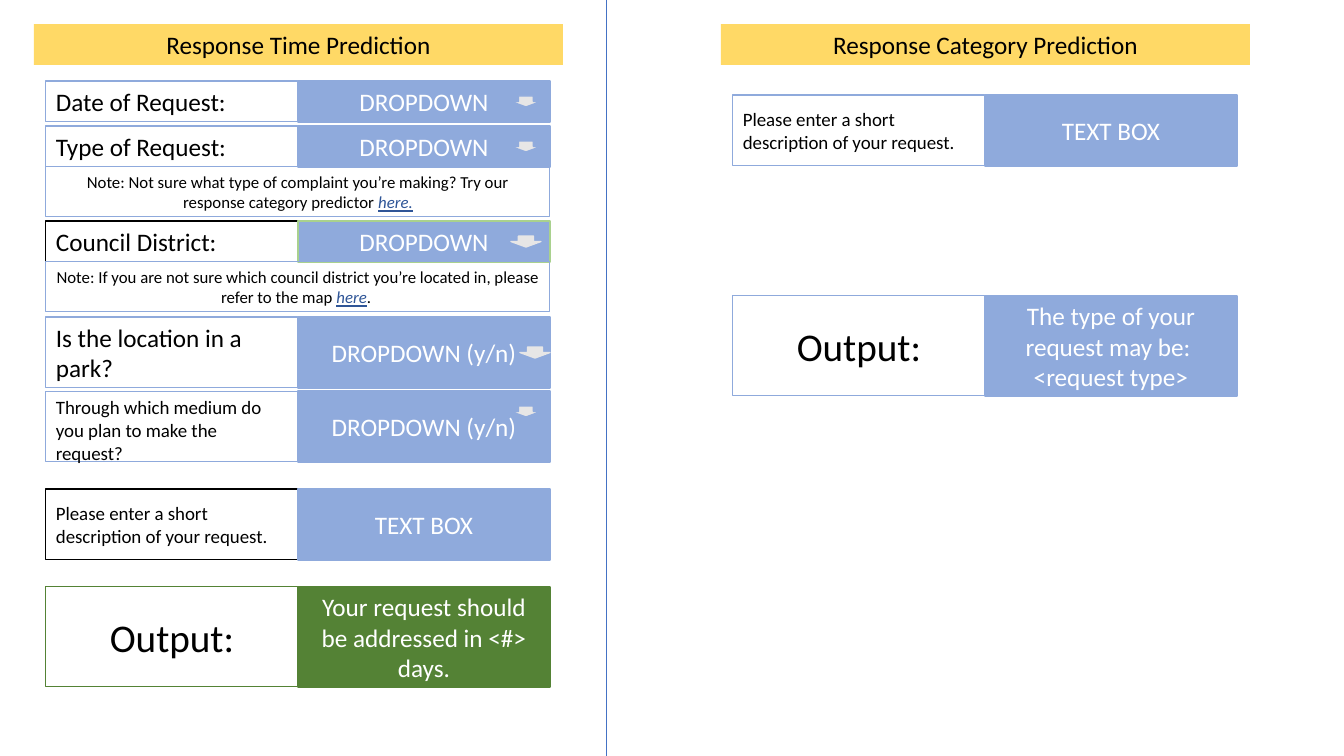
from pptx import Presentation
from pptx.dml.color import RGBColor
from pptx.enum.shapes import MSO_CONNECTOR, MSO_SHAPE
from pptx.enum.text import MSO_ANCHOR, MSO_AUTO_SIZE, PP_ALIGN
from pptx.oxml.ns import qn
from pptx.util import Pt
from lxml.etree import SubElement

SCALE = 914400 / 100.8
FONT = "Calibri"
COLORS = {
    "black": "000000", "white": "FFFFFF", "yellow": "FFD966", "blue": "8FAADC",
    "divider": "4472C4", "link": "2F5597", "grey": "E7E6E6",
    "light green": "A9D18E", "green": "548235",
}
SHORT, TALL, OUTPUT, NOTE = 41, 71, 100, 50
DESCRIPTION = "Please enter a short description of your request."


def emu(pixels):
    """Turn pixels into EMU."""
    return round(pixels * SCALE)


def color(name):
    """Look up a named colour."""
    return RGBColor.from_string(COLORS[name])


def add_panel(page, box, fill=None, line=None, weight=1, kind=MSO_SHAPE.RECTANGLE):
    """Add a shape with the given fill and outline."""
    panel = page.shapes.add_shape(kind, *map(emu, box))
    panel.shadow.inherit = False
    if fill:
        panel.fill.solid()
        panel.fill.fore_color.rgb = color(fill)
    else:
        panel.fill.background()
    if line:
        panel.line.color.rgb = color(line)
        panel.line.width = Pt(weight)
    else:
        panel.line.fill.background()
    return panel


def style_span(span, size, ink):
    """Set the font of one run."""
    span.font.name = FONT
    span.font.size = Pt(size)
    span.font.color.rgb = color(ink)


def write(panel, text, size=18, ink="black", align=PP_ALIGN.CENTER,
          anchor=MSO_ANCHOR.MIDDLE, grow=False):
    """Put text into a shape and format it."""
    frame = panel.text_frame
    frame.word_wrap = True
    frame.vertical_anchor = anchor
    if grow:
        frame.auto_size = MSO_AUTO_SIZE.SHAPE_TO_FIT_TEXT
    frame.text = text
    for para in frame.paragraphs:
        para.alignment = align
        for span in para.runs:
            style_span(span, size, ink)


def add_title(page, box, text):
    """Add the yellow heading of a form."""
    write(add_panel(page, box, "yellow"), text, anchor=MSO_ANCHOR.TOP, grow=True)


def add_field(page, box, label, answer, size=18, align=PP_ALIGN.LEFT,
              anchor=MSO_ANCHOR.MIDDLE, border="blue", fill="blue", edge="blue"):
    """Add a label on the left half of the box and its answer on the right."""
    left, top, width, height = box
    half = width // 2
    label_panel = add_panel(page, (left, top, half, height), None, border, 0.75)
    write(label_panel, label, size, align=align, anchor=anchor, grow=height == SHORT)
    answer_panel = add_panel(page, (left + half, top, half, height), fill, edge)
    write(answer_panel, answer, ink="white")


def add_dropdown(page, box, label, answer="DROPDOWN", size=18, border="blue",
                 edge="blue", arrow_edge="blue", arrow_at=(465, 15)):
    """Add a field whose answer carries a down arrow."""
    add_field(page, box, label, answer, size, anchor=MSO_ANCHOR.TOP,
              border=border, edge=edge)
    arrow_box = (box[0] + arrow_at[0], box[1] + arrow_at[1], 30, 11)
    add_panel(page, arrow_box, "grey", arrow_edge, kind=MSO_SHAPE.DOWN_ARROW)


def add_note(page, box, text, link, ending=""):
    """Add a note that ends in link-styled words."""
    note = add_panel(page, box, None, "blue", 0.75)
    write(note, text, 12, anchor=MSO_ANCHOR.TOP, grow=True)
    para = note.text_frame.paragraphs[0]
    span = para.add_run()
    span.text = link
    style_span(span, 12, "link")
    span.font.italic = span.font.underline = True
    if ending:
        span = para.add_run()
        span.text = ending
        style_span(span, 12, "black")


def add_output(page, box, answer, tint):
    """Add the result row of a form."""
    add_field(page, box, "Output:", answer, 28, PP_ALIGN.CENTER,
              border=tint, fill=tint, edge=tint)


def add_time_form(page, box):
    """Add the response time form."""
    left, top, width, _ = box
    add_title(page, (left, top, width, SHORT), "Response Time Prediction")

    def row(offset, height):
        """Give the box of a row below the form top."""
        return left + 12, top + offset, width - 25, height

    add_dropdown(page, row(57, SHORT), "Date of Request:")
    add_dropdown(page, row(102, SHORT), "Type of Request:")
    add_note(page, row(102 + SHORT, NOTE),
             "Note: Not sure what type of complaint you’re making? "
             "Try our response category predictor ", "here.")
    add_dropdown(page, row(197, SHORT), "Council District:", border="black",
                 edge="light green", arrow_edge="grey")
    add_note(page, row(197 + SHORT, NOTE),
             "Note: If you are not sure which council district you’re located in, "
             "please refer to the map ", "here", ". ")
    add_dropdown(page, row(293, TALL), "Is the location in a park?", "DROPDOWN (y/n)",
                 arrow_edge="grey", arrow_at=(474, 30))
    add_dropdown(page, row(367, TALL),
                 "Through which medium do you plan to make the request?",
                 "DROPDOWN (y/n)", 13.5)
    add_field(page, row(465, TALL), DESCRIPTION, "TEXT BOX", 13.5, border="black")
    add_output(page, row(563, OUTPUT), "Your request should be addressed in <#> days.",
               "green")


def add_category_form(page, box):
    """Add the response category form."""
    left, top, width, _ = box
    add_title(page, (left, top, width, SHORT), "Response Category Prediction")
    add_field(page, (left + 12, top + 71, width - 25, TALL), DESCRIPTION, "TEXT BOX", 13.5)
    add_output(page, (left + 12, top + 272, width - 25, OUTPUT),
               "The type of your request may be: \n<request type>", "blue")


def add_divider(page, box):
    """Add the vertical line between the forms."""
    left, top, width, height = box
    divider = page.shapes.add_connector(
        MSO_CONNECTOR.STRAIGHT, *map(emu, (left, top, left + width, top + height)))
    divider.line.color.rgb = color("divider")
    divider.line.width = Pt(0.5)
    SubElement(divider._element.spPr, qn("a:effectLst"))


deck = Presentation()
deck.slide_width, deck.slide_height = emu(1344), emu(756)
page = deck.slides.add_slide(deck.slide_layouts[6])
add_divider(page, (606, 0, 0, 756))
add_time_form(page, (34, 24, 529, 663))
add_category_form(page, (721, 24, 529, 372))
deck.save("out.pptx")
